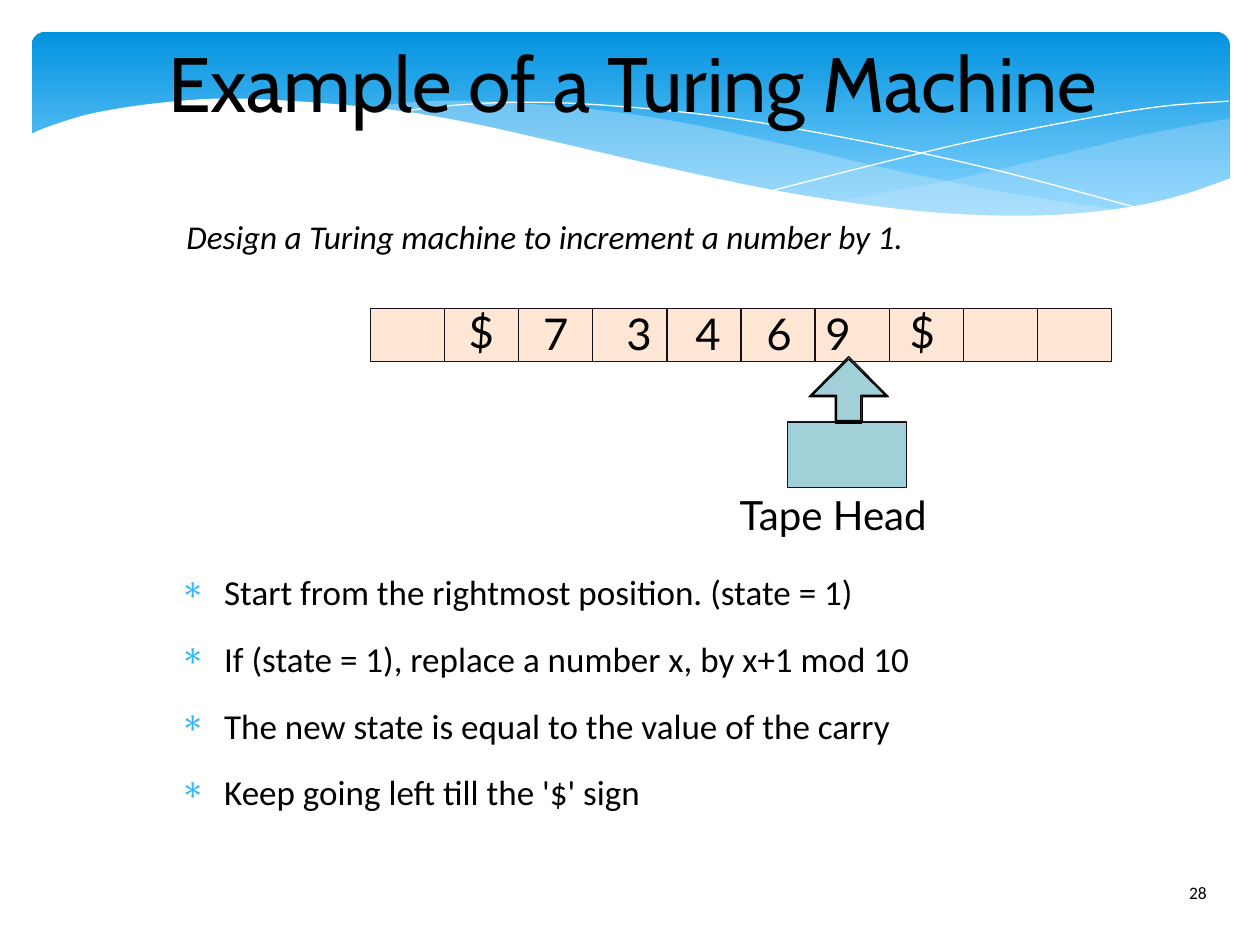
from lxml.etree import SubElement
from pptx import Presentation
from pptx.dml.color import RGBColor
from pptx.enum.shapes import MSO_CONNECTOR, MSO_SHAPE
from pptx.enum.text import MSO_ANCHOR, PP_ALIGN
from pptx.oxml.ns import qn
from pptx.util import Cm, Pt

BLACK, WHITE, INK = "000000", "FFFFFF", "15111D"
HEAD_FILL, CELL_FILL, WAVE_FILL = "A2D0D9", "FFE6D5", "C6E7FC"

# Each wave is a list of smooth curves, in cm from the banner's top left corner.
RIGHT_WAVE = [
    [(24.15, 1.75), (22.38, 2.08), (21.23, 2.36), (18.49, 3.0), (16.15, 3.43)],
    [(16.15, 3.43), (18.59, 3.68), (20.29, 3.73), (21.74, 3.61), (22.94, 3.38),
     (24.15, 2.95)],
]
MIDDLE_WAVE = [
    [(6.63, 1.55), (8.05, 1.75), (10.77, 2.31), (13.74, 3.0), (15.88, 3.38),
     (18.06, 3.66), (20.14, 3.76), (22.05, 3.61)],
    [(22.05, 3.61), (19.86, 3.28), (17.3, 2.77), (15.34, 2.31), (13.11, 1.83),
     (11.18, 1.55), (9.02, 1.4), (7.7, 1.42), (6.63, 1.55)],
]
FALLING_LINE = [
    [(7.21, 1.65), (8.33, 1.5), (9.93, 1.42), (11.79, 1.5), (14.15, 1.75),
     (17.02, 2.26), (19.56, 2.82), (22.4, 3.58)],
]
RISING_LINE = [
    [(14.94, 3.2), (17.02, 2.67), (19.08, 2.18), (21.36, 1.73), (22.83, 1.5),
     (24.13, 1.4)],
]
WHITE_WAVE = [
    [(24.18, 2.95), (22.99, 3.35), (21.59, 3.61), (19.91, 3.71), (17.81, 3.61),
     (15.27, 3.25), (12.8, 2.74), (10.72, 2.26), (8.64, 1.8), (6.78, 1.52),
     (4.27, 1.35), (2.72, 1.42), (1.3, 1.63), (0.38, 1.9), (-0.05, 2.08)],
    [(-0.05, 5.05), (24.18, 5.05)],
]


def rgb(color):
    return RGBColor.from_string(color)


def paint(sp, fill=None, line=None):
    """Set fill and hairline; None means no fill or no line."""
    sp.shadow.inherit = False
    if fill:
        sp.fill.solid()
        sp.fill.fore_color.rgb = rgb(fill)
    else:
        sp.fill.background()
    if line:
        sp.line.color.rgb = rgb(line)
        sp.line.width = 0
    else:
        sp.line.fill.background()


def add_box(s, kind, left, top, width, height, fill=None, line=None):
    sp = s.shapes.add_shape(kind, Cm(left), Cm(top), Cm(width), Cm(height))
    paint(sp, fill, line)
    return sp


def add_outline(s, left, top, points, fill=None, line=None, close=True):
    pts = [(Cm(left + x), Cm(top + y)) for x, y in points]
    builder = s.shapes.build_freeform(*pts[0])
    builder.add_line_segments(pts[1:], close=close)
    sp = builder.convert_to_shape()
    paint(sp, fill, line)
    return sp


def add_text(s, text, left, top, width, height, size=20, font="Calibri",
             italic=False, align=PP_ALIGN.LEFT, anchor=MSO_ANCHOR.TOP,
             inset=(0, 0), wrap=True, bullet=None, after=0):
    """Write one paragraph per line of text; bullet is a (character, colour) pair."""
    tf = s.shapes.add_textbox(Cm(left), Cm(top), Cm(width), Cm(height)).text_frame
    tf.word_wrap = wrap
    tf.vertical_anchor = anchor
    tf.margin_left = tf.margin_right = Cm(inset[0])
    tf.margin_top = tf.margin_bottom = Cm(inset[1])
    for i, line in enumerate(text.split("\n")):
        p = tf.paragraphs[0] if i == 0 else tf.add_paragraph()
        p.alignment = align
        p.space_after = Pt(after)
        if bullet:
            add_bullet(p, *bullet)
        r = p.add_run()
        r.text = line
        r.font.size = Pt(size)
        r.font.name = font
        r.font.italic = italic
        r.font.color.rgb = rgb(BLACK)


def add_bullet(p, char, color):
    pPr = p._p.get_or_add_pPr()
    pPr.set("marL", str(Cm(1.19)))
    pPr.set("indent", str(-Cm(0.89)))
    SubElement(SubElement(pPr, qn("a:buClr")), qn("a:srgbClr"), val=color)
    SubElement(pPr, qn("a:buChar"), char=char)


def smooth(points, steps=6):
    """Return points on a Catmull-Rom curve through the given ones."""
    if len(points) < 3:
        return points
    ends = [points[0], *points, points[-1]]
    curve = [points[0]]
    for a, b, c, d in zip(ends, ends[1:], ends[2:], ends[3:]):
        for k in range(1, steps + 1):
            t = k / steps
            curve.append(tuple(
                q + t / 2 * (r - p + t * (2 * p - 5 * q + 4 * r - u
                                          + t * (3 * (q - r) + u - p)))
                for p, q, r, u in zip(a, b, c, d)))
    return curve


def add_banner(s, left, top, width, height):
    sp = add_box(s, MSO_SHAPE.ROUNDED_RECTANGLE, left, top, width, height)
    sp.adjustments[0] = 0.07
    sp.fill.gradient()
    sp.fill.gradient_angle = 270
    for stop, position, color in zip(sp.fill.gradient_stops, (0, 0.9),
                                     ("0293E0", "83D3FE")):
        stop.position = position
        stop.color.rgb = rgb(color)
    for wave, fill, line, alpha in (
            (RIGHT_WAVE, WAVE_FILL, None, 29), (MIDDLE_WAVE, WAVE_FILL, None, 40),
            (FALLING_LINE, None, WHITE, None), (RISING_LINE, None, WHITE, None),
            (WHITE_WAVE, WHITE, None, None)):
        points = [pt for curve in wave for pt in smooth(curve)]
        sp = add_outline(s, left, top, points, fill, line, close=bool(fill))
        if alpha:
            color = sp._element.spPr.find(qn("a:solidFill"))[0]
            SubElement(color, qn("a:alpha"), val=str(alpha * 1000))


def add_tape(s, left, top, width, height, cells=10):
    step = width / cells
    for i in range(cells):
        add_box(s, MSO_SHAPE.RECTANGLE, left + i * step, top, step, height,
                CELL_FILL, INK)
    for symbol, x in (("$", 1.98), ("7", 3.48), ("3", 5.16), ("4", 6.55),
                      ("6", 7.98), ("9", 9.17), ("$", 10.87)):
        y = -0.08 if symbol == "$" else -0.03
        add_text(s, symbol, left + x, top + y, 0.48, 1.07, size=25, font="Lato",
                 wrap=False)


def add_tape_head(s, left, top, width, height):
    """Place the head in the box, with its arrow above and its label below."""
    add_box(s, MSO_SHAPE.RECTANGLE, left, top, width, height, HEAD_FILL, INK)
    middle = left + 1.23
    for side in (-1, 1):
        half = [(side * 0.27, 0), (side * 0.27, -0.51), (side * 0.8, -0.51), (0, -1.32)]
        add_outline(s, middle, top, half, HEAD_FILL, BLACK, close=False)
    base = s.shapes.add_connector(MSO_CONNECTOR.STRAIGHT, Cm(middle - 0.27), Cm(top),
                                  Cm(middle + 0.27), Cm(top))
    base.line.color.rgb = rgb(BLACK)
    base.line.width = 0
    SubElement(base._element.spPr, qn("a:effectLst"))
    arrow = add_box(s, MSO_SHAPE.UP_ARROW, middle - 0.74, top - 1.27, 1.48, 1.24,
                    HEAD_FILL, BLACK)
    arrow.adjustments[0] = 0.33
    arrow.adjustments[1] = 0.59
    add_text(s, "Tape Head", left - 0.97, top + 1.37, 3.96, 0.99, size=23,
             font="Lato", wrap=False)


def main():
    prs = Presentation()
    prs.slide_width, prs.slide_height = Cm(25.4), Cm(19.05)
    s = prs.slides.add_slide(prs.slide_layouts[6])
    add_banner(s, 0.64, 0.64, 24.15, 3.96)
    add_text(s, "Example of a Turing Machine", 2.46, 0.36, 20.6, 2.59, size=44,
             font="Cabin", align=PP_ALIGN.CENTER, anchor=MSO_ANCHOR.MIDDLE)
    add_text(s, "Start from the rightmost position. (state = 1)\n"
                "If (state = 1), replace a number x, by x+1 mod 10\n"
                "The new state is equal to the value of the carry\n"
                "Keep going left till the '$' sign",
             3.33, 11.51, 20.6, 5.51, bullet=("∗", "31B6FD"), after=14.1)
    add_text(s, "Design a Turing machine to increment a number by 1.",
             3.51, 4.24, 18.97, 1.07, size=19, italic=True, inset=(0.25, 0.13))
    add_tape(s, 7.47, 6.22, 14.94, 1.07)
    add_tape_head(s, 15.88, 8.51, 2.39, 1.32)
    add_text(s, "28", 23.72, 17.65, 1.55, 1.02, size=10, inset=(0.25, 0.13))
    prs.save("out.pptx")


if __name__ == "__main__":
    main()
